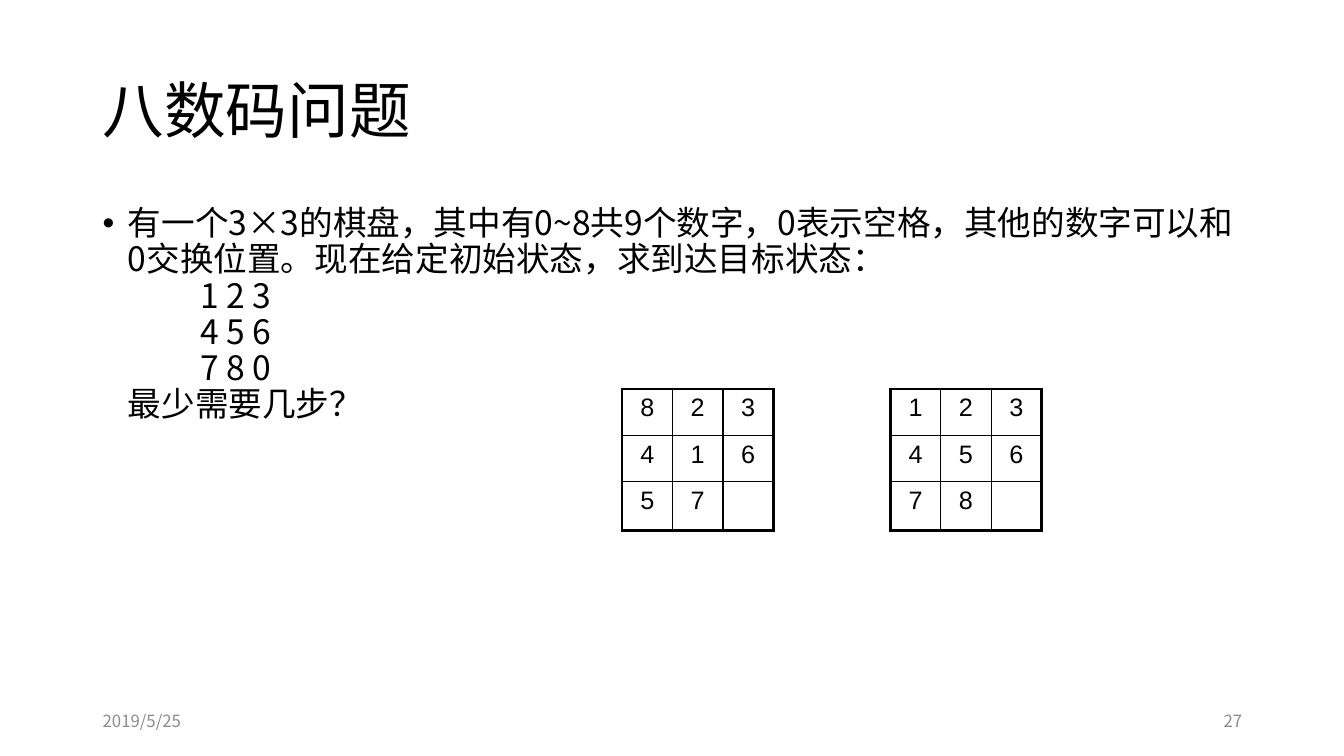
from lxml import etree
from pptx import Presentation
from pptx import util as u
from pptx.dml.color import RGBColor
from pptx.enum import text
from pptx.oxml import ns

# Content
BLACK, GREY, WHITE = "000000", "8C8C8C", "FFFFFF"
CJK, LATIN = "Noto Sans CJK SC", "Arial"
TITLE = "八数码问题"
QUESTION = [  # text, left indent, first-line offset, space before
    ("有一个3×3的棋盘，其中有0~8共9个数字，0表示空格，其他的数字可以和0交换位置。"
     "现在给定初始状态，求到达目标状态：", 0.25, -0.25, 10),
    ("1 2 3", 0.97, 0, 0),
    ("4 5 6", 0.97, 0, 0),
    ("7 8 0", 0.97, 0, 0),
    ("最少需要几步？", 0.25, 0, 0),
]
DATE, NUMBER = "2019/5/25", "27"
BOARDS = [  # left, rows of digits
    (6.17, [("8", "2", "3"), ("4", "1", "6"), ("5", "7", "")]),
    (8.83, [("1", "2", "3"), ("4", "5", "6"), ("7", "8", "")]),
]
BOARD_TOP, COLUMN = 3.86, 0.5
ROWS = [0.46, 0.46, 0.48]
THICK, THIN = 2.25, 1


def color(value):
    return RGBColor.from_string(value)


def write(para, words, size=24, font=CJK, fill=BLACK, align=None, spacing=None):
    span = para.add_run()
    span.text = words
    span.font.size = u.Pt(size)
    span.font.name = font
    span.font.color.rgb = color(fill)
    east = etree.SubElement(span._r.get_or_add_rPr(), ns.qn("a:ea"))
    east.set("typeface", font)
    para.alignment = align
    para.line_spacing = spacing


def add_box(page, left, top, width, height, anchor=text.MSO_ANCHOR.MIDDLE):
    box = page.shapes.add_textbox(*map(u.Inches, (left, top, width, height)))
    frame = box.text_frame
    frame.word_wrap = True
    frame.vertical_anchor = anchor
    return frame


def indent(para, left, first):
    props = para._p.get_or_add_pPr()
    props.set("marL", str(u.Inches(left)))
    props.set("indent", str(u.Inches(first)))
    if first:
        font = etree.SubElement(props, ns.qn("a:buFont"))
        font.set("typeface", LATIN)
        etree.SubElement(props, ns.qn("a:buChar")).set("char", "•")


def add_border(cell, side, width):
    line = etree.SubElement(cell._tc.get_or_add_tcPr(), ns.qn("a:" + side))
    line.set("w", str(u.Pt(width)))
    fill = etree.SubElement(line, ns.qn("a:solidFill"))
    etree.SubElement(fill, ns.qn("a:srgbClr")).set("val", BLACK)


def add_board(page, left, digits):
    count = len(digits)
    size = (left, BOARD_TOP, COLUMN * count, sum(ROWS))
    table = page.shapes.add_table(count, count, *map(u.Inches, size)).table
    table.first_row = table.horz_banding = False
    for column in table.columns:
        column.width = u.Inches(COLUMN)
    for r, row in enumerate(digits):
        table.rows[r].height = u.Inches(ROWS[r])
        for c, digit in enumerate(row):
            cell = table.cell(r, c)
            # Outer edges are thick, inner ones thin
            edges = {"lnL": c == 0, "lnR": c == count - 1,
                     "lnT": r == 0, "lnB": r == count - 1}
            for side, outer in edges.items():
                add_border(cell, side, THICK if outer else THIN)
            cell.fill.background()
            if digit:
                para = cell.text_frame.paragraphs[0]
                write(para, digit, size=18, font=LATIN, align=text.PP_ALIGN.CENTER)
                before = etree.SubElement(para._p.get_or_add_pPr(), ns.qn("a:spcBef"))
                etree.SubElement(before, ns.qn("a:spcPct")).set("val", "20000")


def main():
    deck = Presentation()
    deck.slide_width, deck.slide_height = u.Inches(13.33), u.Inches(7.5)
    page = deck.slides.add_slide(deck.slide_layouts[6])
    page.background.fill.solid()
    page.background.fill.fore_color.rgb = color(WHITE)

    # Title
    title = add_box(page, 0.92, 0.4, 11.5, 1.45)
    write(title.paragraphs[0], TITLE, size=44, spacing=0.9)

    # Question
    body = add_box(page, 0.92, 2, 11.5, 4.76, text.MSO_ANCHOR.TOP)
    for i, (words, left, first, before) in enumerate(QUESTION):
        para = body.add_paragraph() if i else body.paragraphs[0]
        write(para, words, spacing=0.9)
        para.space_before = u.Pt(before)
        indent(para, left, first)

    # Footer
    for left, words, align in [(0.92, DATE, text.PP_ALIGN.LEFT),
                               (9.42, NUMBER, text.PP_ALIGN.RIGHT)]:
        footer = add_box(page, left, 6.95, 3, 0.4)
        write(footer.paragraphs[0], words, size=12, fill=GREY, align=align)

    # Start and goal boards
    for left, digits in BOARDS:
        add_board(page, left, digits)

    deck.save("out.pptx")


if __name__ == "__main__":
    main()
